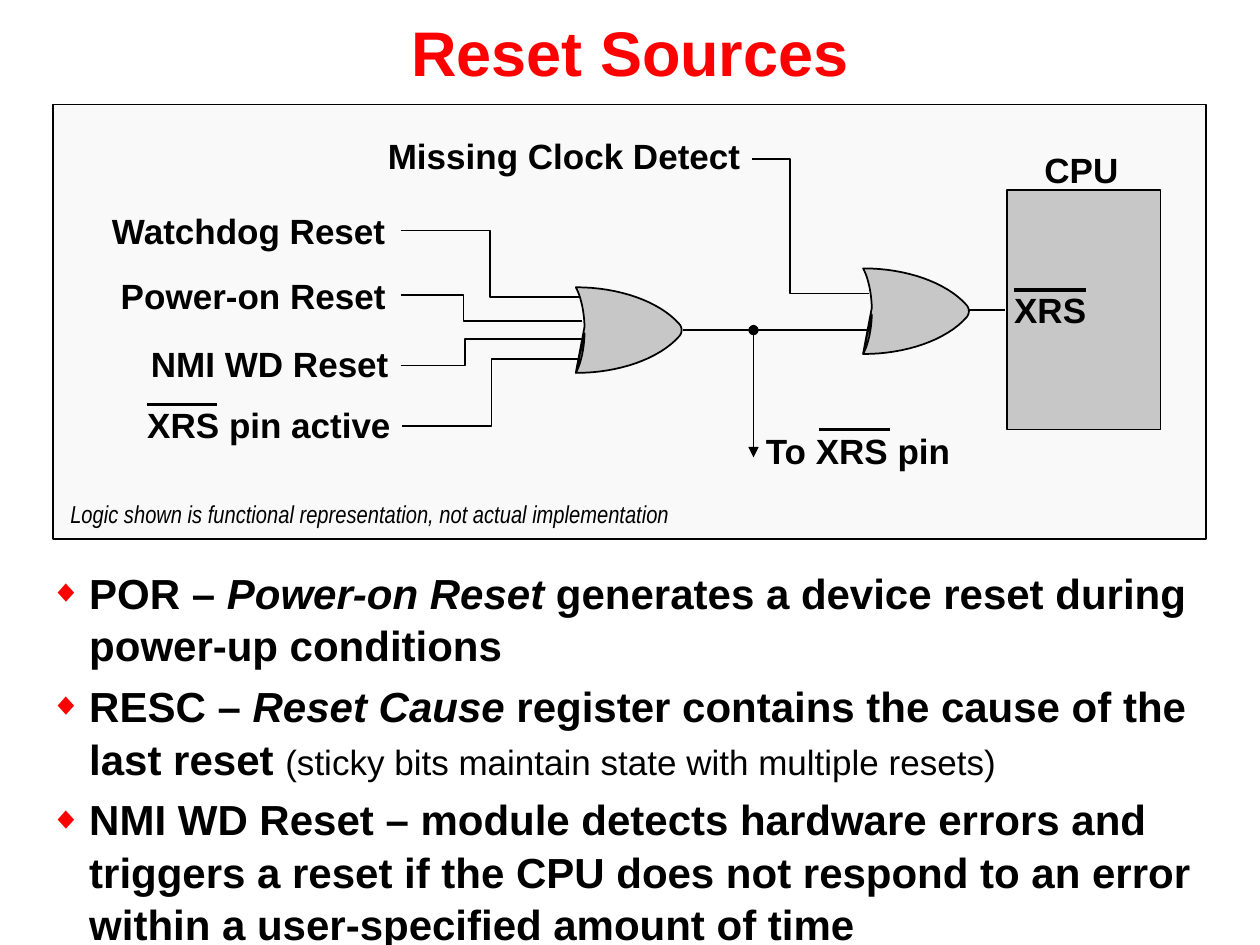
from lxml.etree import SubElement
from pptx import Presentation
from pptx.dml.color import RGBColor
from pptx.enum.shapes import MSO_CONNECTOR, MSO_SHAPE
from pptx.enum.text import MSO_ANCHOR, PP_ALIGN
from pptx.oxml.ns import qn
from pptx.util import Inches, Pt

BLACK = RGBColor(0, 0, 0)
RED = RGBColor(0xFF, 0, 0)
PANEL = RGBColor(0xF9, 0xF9, 0xF9)
GRAY = RGBColor(0xC7, 0xC7, 0xC7)


def curve(p0, p1, p2, p3, steps=16):
    ts = [i / steps for i in range(steps + 1)]
    return [tuple((1 - t) ** 3 * a + 3 * (1 - t) ** 2 * t * b
                  + 3 * (1 - t) * t ** 2 * c + t ** 3 * d
                  for a, b, c, d in zip(p0, p1, p2, p3)) for t in ts]


def mirror(points):
    return [(x, -y) for x, y in reversed(points)]


class Diagram:
    font = {"name": "Arial", "size": Pt(20), "bold": True, "italic": False}

    def __init__(self, slide):
        self.s = slide

    def paint(self, sp, fill=None):
        sp.shadow.inherit = False
        if fill is None:
            sp.fill.background()
        else:
            sp.fill.solid()
            sp.fill.fore_color.rgb = fill
        sp.line.color.rgb = BLACK
        sp.line.width = Pt(1)

    def box(self, x, y, w, h, fill):
        sp = self.s.shapes.add_shape(MSO_SHAPE.RECTANGLE, *map(Inches, (x, y, w, h)))
        self.paint(sp, fill)

    def outline(self, points, fill=None):
        pts = [(Inches(x), Inches(y)) for x, y in points]
        fb = self.s.shapes.build_freeform(*pts[0], scale=1.0)
        fb.add_line_segments(pts[1:], close=fill is not None)
        self.paint(fb.convert_to_shape(), fill)

    def elbow(self, x1, y1, bend, x2, y2):
        self.outline([(x1, y1), (bend, y1), (bend, y2), (x2, y2)])

    def gate(self, x, y):
        top = curve((0, -0.34), (0.34, -0.34), (0.66, -0.23), (0.82, -0.05))
        nose = curve((0.82, -0.05), (0.83, -0.04), (0.84, -0.02), (0.84, 0))
        back = curve((0, -0.34), (0.04, -0.27), (0.07, -0.14), (0.07, 0))
        upper = top + nose[1:]
        rim = upper + mirror(upper)[1:] + mirror(back)[1:] + back[::-1][1:-1]
        self.outline([(x + dx, y + dy) for dx, dy in rim], GRAY)

    def line(self, x1, y1, x2, y2, width=1, **ends):
        c = self.s.shapes.add_connector(
            MSO_CONNECTOR.STRAIGHT, *map(Inches, (x1, y1, x2, y2)))
        c.line.color.rgb = BLACK
        c.line.width = Pt(width)
        for tag, kind in ends.items():
            SubElement(c.line._get_or_add_ln(), qn("a:" + tag), type=kind)
        SubElement(c._element.spPr, qn("a:effectLst"))

    def run(self, p, text, color=BLACK, **style):
        r = p.add_run()
        r.text = text
        for key, value in {**self.font, **style}.items():
            setattr(r.font, key, value)
        r.font.color.rgb = color

    def frame(self, x, y, w, h, wrap=False):
        tf = self.s.shapes.add_textbox(*map(Inches, (x, y, w, h))).text_frame
        tf.word_wrap = wrap
        return tf

    def label(self, text, x, y, w, h=0.43, spacing=None, **style):
        p = self.frame(x, y, w, h).paragraphs[0]
        p.line_spacing = spacing
        self.run(p, text, **style)

    def title(self, text):
        tf = self.frame(0, 0, 10, 0.81, wrap=True)
        tf.vertical_anchor = MSO_ANCHOR.MIDDLE
        p = tf.paragraphs[0]
        p.alignment = PP_ALIGN.CENTER
        self.run(p, text, RED, size=Pt(36))

    def bullets(self, items, x, y, w, h):
        tf = self.frame(x, y, w, h, wrap=True)
        for i, runs in enumerate(items):
            p = tf.add_paragraph() if i else tf.paragraphs[0]
            p.line_spacing = 1.04
            p.space_before = Pt(4.8 if i else 0)
            pPr = p._p.get_or_add_pPr()
            pPr.set("marL", str(Inches(0.5)))
            pPr.set("indent", str(Inches(-0.31)))
            color = SubElement(pPr, qn("a:buClr"))
            SubElement(color, qn("a:srgbClr"), val=str(RED))
            SubElement(pPr, qn("a:buSzPct"), val="75000")
            SubElement(pPr, qn("a:buFont"), typeface="Arial")
            SubElement(pPr, qn("a:buChar"), char="\u25c6")
            for text, style in runs:
                self.run(p, text, **{"size": Pt(24), **style})


prs = Presentation()
prs.slide_width, prs.slide_height = Inches(10), Inches(7.5)
d = Diagram(prs.slides.add_slide(prs.slide_layouts[6]))

d.title("Reset Sources")
ITALIC = {"italic": True}
d.bullets([
    [("POR \u2013 ", {}), ("Power-on Reset", ITALIC),
     (" generates a device reset during power-up conditions", {})],
    [("RESC \u2013 ", {}), ("Reset Cause ", ITALIC),
     ("register contains the cause of the last reset ", {}),
     ("(sticky bits maintain state with multiple resets)",
      {"size": Pt(20), "bold": False})],
    [("NMI WD Reset \u2013 module detects hardware errors and triggers a reset "
      "if the CPU does not respond to an error within a user-specified "
      "amount of time", {})],
], 0.11, 4.44, 9.78, 3.06)

d.box(0.42, 0.83, 9.15, 3.45, PANEL)
d.box(7.99, 1.51, 1.22, 1.9, GRAY)

for gate in [(4.57, 2.62), (6.85, 2.47)]:
    d.gate(*gate)

for wire in [(5.97, 1.26, 6.27, 6.9, 2.33), (3.18, 1.83, 3.89, 4.6, 2.36),
             (3.18, 2.34, 3.68, 4.62, 2.55), (3.18, 2.9, 3.69, 4.63, 2.69),
             (3.19, 3.38, 3.9, 4.6, 2.85)]:
    d.elbow(*wire)

d.line(5.42, 2.62, 6.9, 2.62)
d.line(7.69, 2.46, 7.98, 2.46)
d.line(5.98, 2.62, 5.98, 3.63, headEnd="oval", tailEnd="triangle")

for label in [("Missing Clock Detect", 2.98, 1.02, 3.0), ("Watchdog Reset", 0.79, 1.61, 2.39),
              ("Power-on Reset", 0.86, 2.13, 2.32), ("NMI WD Reset", 1.1, 2.67, 2.1),
              ("XRS pin active", 1.07, 3.15, 2.15), ("To XRS pin", 5.98, 3.36, 1.68),
              ("CPU", 8.19, 1.13, 0.79), ("XRS", 7.95, 2.24, 0.78)]:
    d.label(*label)

for x1, x2, y in [(1.17, 1.72, 3.21), (6.5, 7.06, 3.41), (8.05, 8.62, 2.3)]:
    d.line(x1, y, x2, y, width=2)

d.label("Logic shown is functional representation, not actual implementation",
        0.46, 3.96, 5, 0.29, spacing=0.8, name="Arial Narrow", size=Pt(14),
        bold=False, italic=True)

prs.save("out.pptx")
